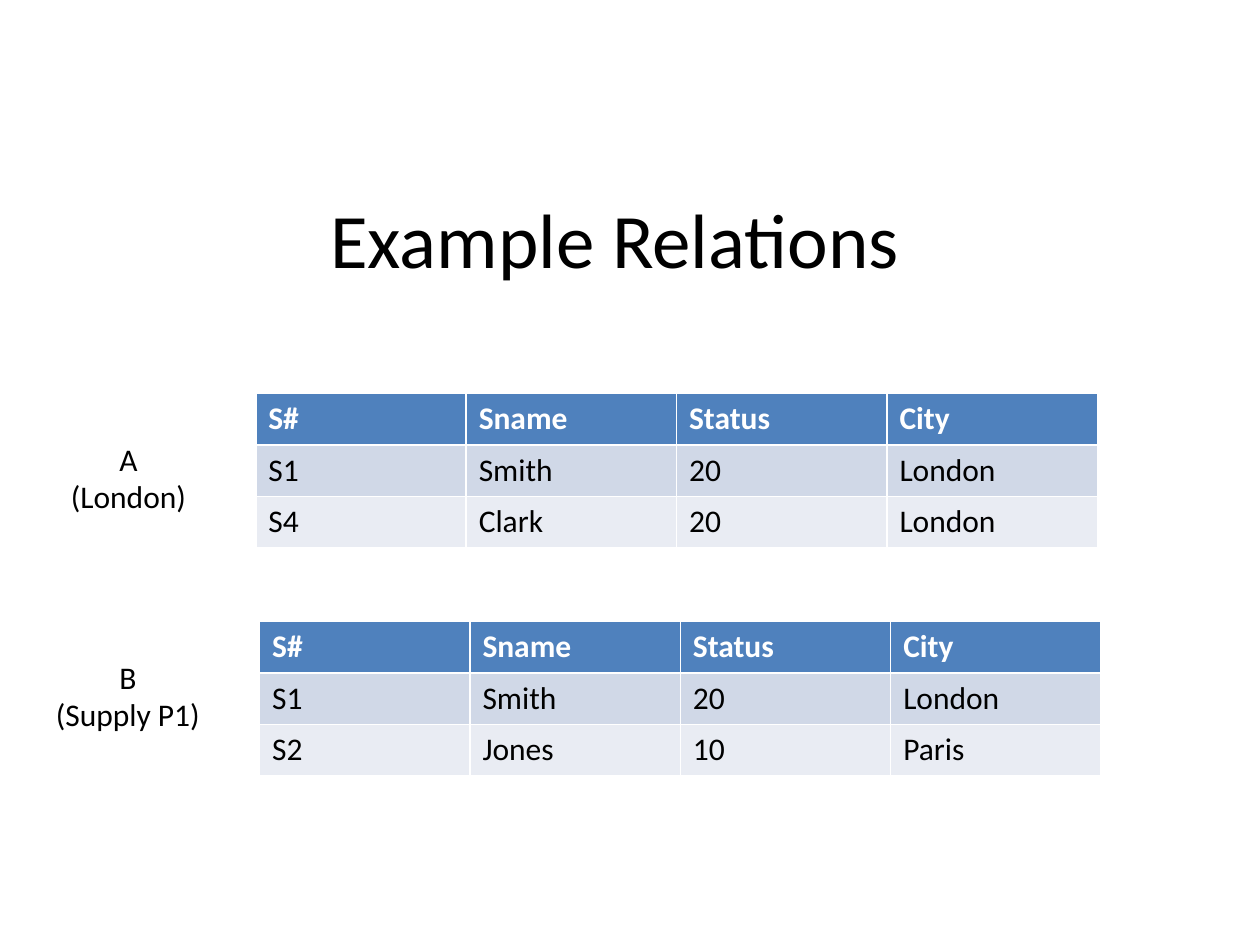
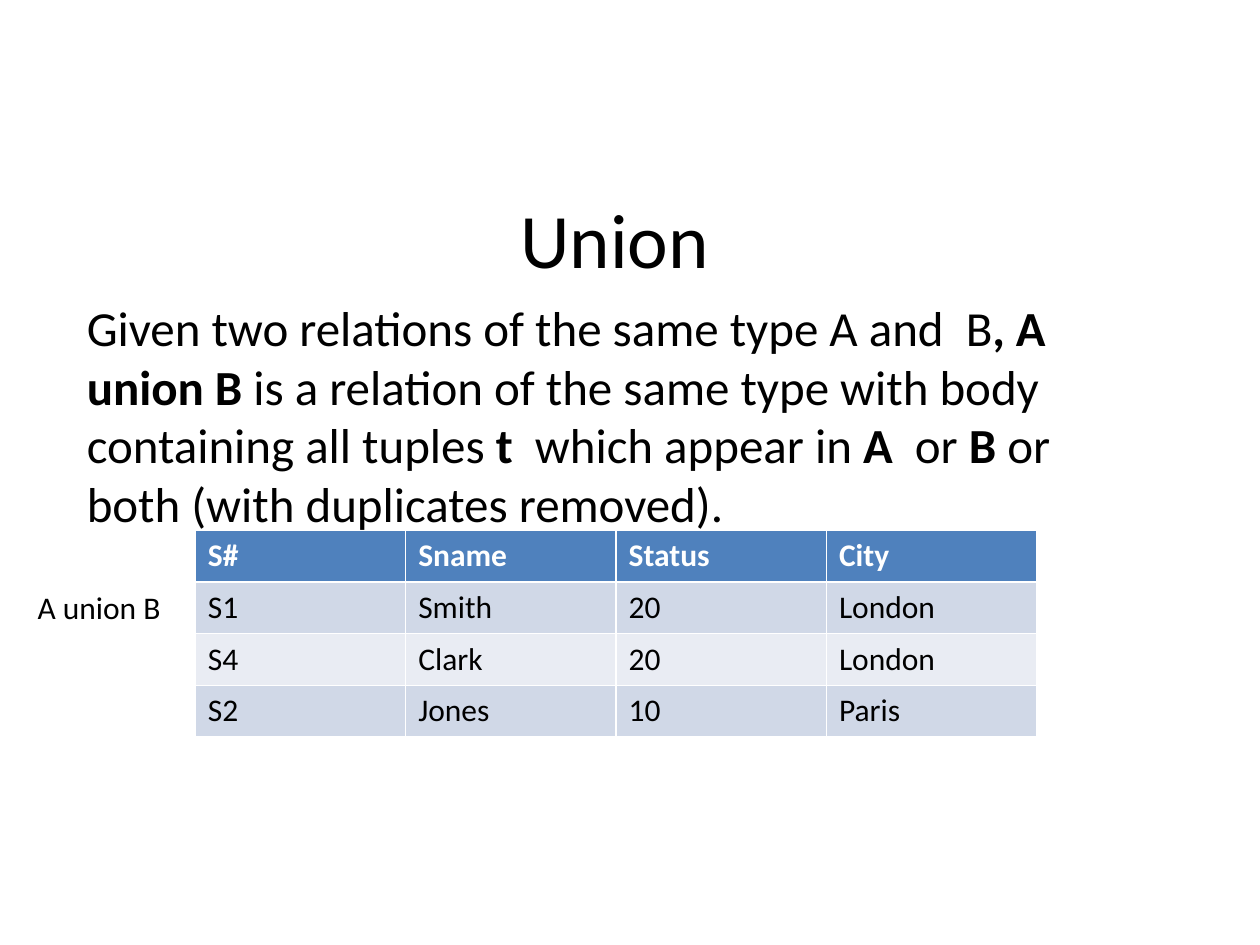
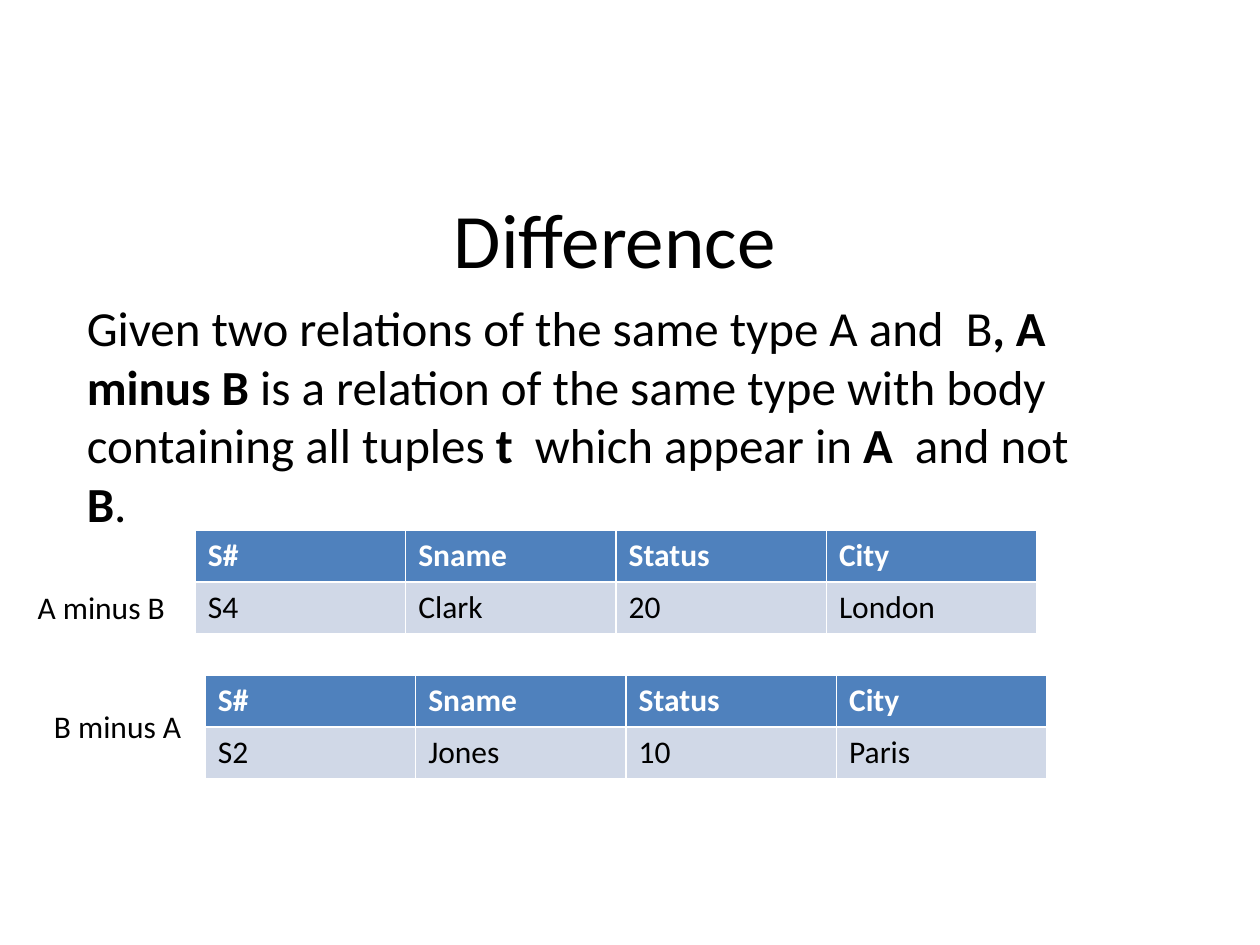
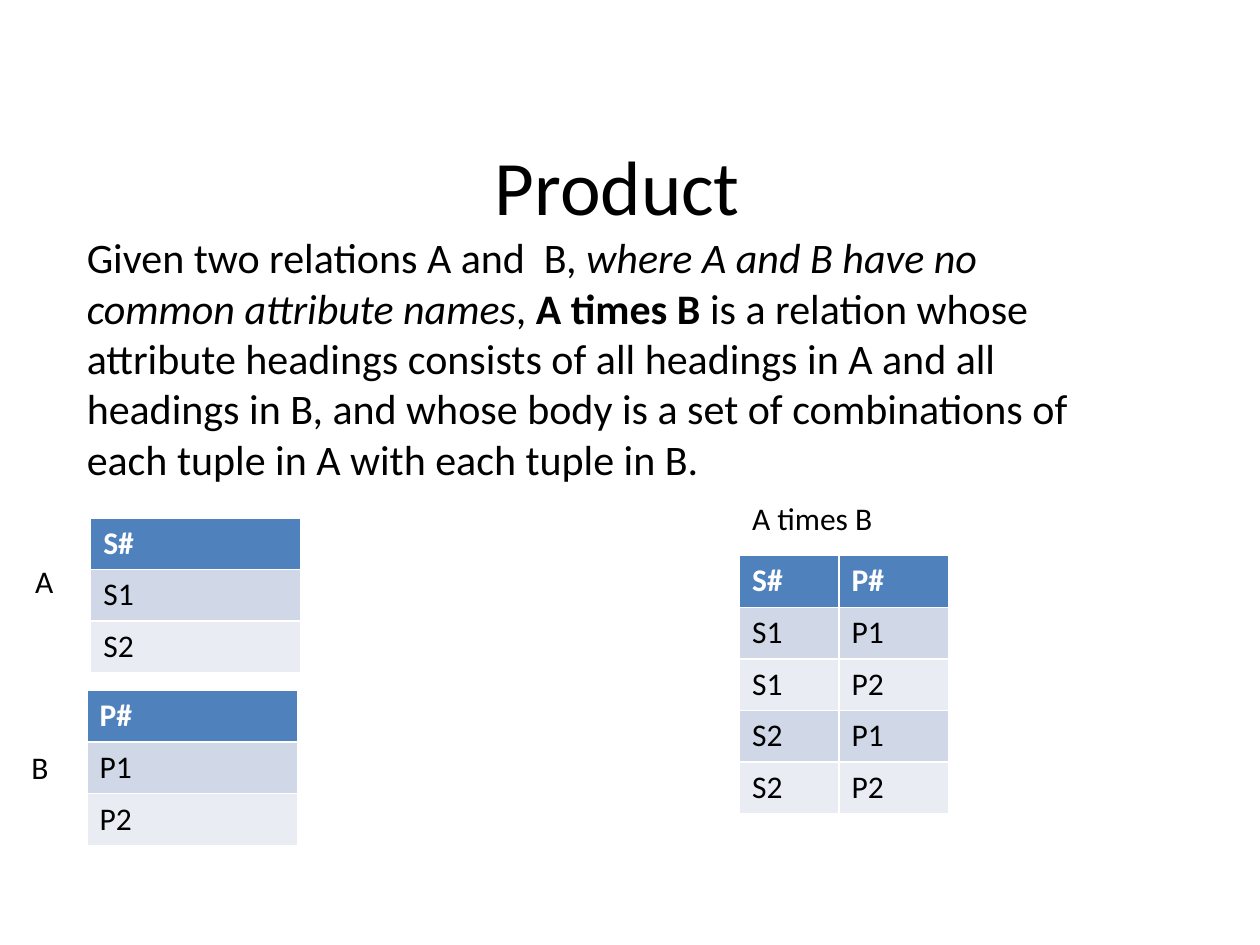
from pptx import Presentation
from pptx import util as u
from pptx.dml.color import RGBColor
from pptx.enum import text

COLORS = {
    "ink": "000000",
    "header_ink": "FFFFFF",
    "header": "4F81BD",
    "odd_row": "D0D8E7",
    "even_row": "E9ECF3",
}
FONT = "Calibri"
ROW_HEIGHT = 0.41
COLUMN_WIDTH = 1.67
SUPPLIER_HEADINGS = ["S#", "Sname", "Status", "City"]
SMITH = ["S1", "Smith", "20", "London"]
CLARK = ["S4", "Clark", "20", "London"]
JONES = ["S2", "Jones", "10", "Paris"]


def color(name):
    return RGBColor.from_string(COLORS[name])


def add_span(para, words, size=18, ink="ink", bold=False, italic=False):
    span = para.add_run()
    span.text = words
    font = span.font
    font.name, font.size = FONT, u.Pt(size)
    font.bold, font.italic = bold, italic
    font.color.rgb = color(ink)


def write(frame, paragraphs, size=18, align=text.PP_ALIGN.LEFT):
    """Fill a frame; each paragraph is a list of (words, style) pairs."""
    frame.word_wrap = True
    frame.vertical_anchor = text.MSO_ANCHOR.TOP
    frame.auto_size = text.MSO_AUTO_SIZE.SHAPE_TO_FIT_TEXT
    for index, spans in enumerate(paragraphs):
        para = frame.add_paragraph() if index else frame.paragraphs[0]
        para.alignment = align
        for words, style in spans:
            add_span(para, words, size=size,
                     bold=style == "bold", italic=style == "italic")


def add_page(deck, title, left=1.06, top=1.47):
    page = deck.slides.add_slide(deck.slide_layouts[5])
    box = page.shapes.title
    box.left, box.top = u.Inches(left), u.Inches(top)
    box.width, box.height = u.Inches(7.64), u.Inches(0.83)
    write(box.text_frame, [[(title, "plain")]], size=44,
          align=text.PP_ALIGN.CENTER)
    return page


def add_text(page, paragraphs, left, top, width, height, **style):
    box = page.shapes.add_textbox(u.Inches(left), u.Inches(top),
                                  u.Inches(width), u.Inches(height))
    write(box.text_frame, paragraphs, **style)


def add_label(page, lines, left, top, width=1.34, **style):
    add_text(page, [[(line, "plain")] for line in lines], left, top, width,
             0.1 + 0.3 * len(lines), **style)


def add_definition(page, spans, top=2.31, height=1.97, size=28):
    add_text(page, [spans], 0.59, top, 8.19, height, size=size)


def add_relation(page, headings, tuples, left, top, widths=None):
    widths = widths or [COLUMN_WIDTH] * len(headings)
    rows = [headings] + tuples
    table = page.shapes.add_table(
        len(rows), len(headings), u.Inches(left), u.Inches(top),
        u.Inches(sum(widths)), u.Inches(ROW_HEIGHT * len(rows))).table
    for column, width in zip(table.columns, widths):
        column.width = u.Inches(width)
    # The table style draws the white rules; each cell gets its own fill
    for r, values in enumerate(rows):
        fill = "header" if r == 0 else "odd_row" if r % 2 else "even_row"
        for c, value in enumerate(values):
            cell = table.cell(r, c)
            cell.fill.solid()
            cell.fill.fore_color.rgb = color(fill)
            add_span(cell.text_frame.paragraphs[0], value, bold=r == 0,
                     ink="ink" if r else "header_ink")


def set_definition(operator, ending):
    """Shared wording of the definitions of union and difference."""
    return [
        ("Given two relations of the same type A and  B", "plain"),
        (f", A {operator} B", "bold"),
        (" is a relation of the same type with body containing all tuples ",
         "plain"),
        ("t", "bold"), ("  which appear in ", "plain"), ("A", "bold"),
    ] + ending


def build_examples(deck):
    page = add_page(deck, "Example Relations")
    add_relation(page, SUPPLIER_HEADINGS, [SMITH, CLARK], 2.03, 3.12)
    add_relation(page, SUPPLIER_HEADINGS, [SMITH, JONES], 2.06, 4.93)
    center = text.PP_ALIGN.CENTER
    add_label(page, ["A", "(London)"], 0.35, 3.44, align=center)
    add_label(page, ["B", "(Supply P1)"], 0.15, 5.17, width=1.73, align=center)


def build_union(deck):
    page = add_page(deck, "Union")
    add_relation(page, SUPPLIER_HEADINGS, [SMITH, CLARK, JONES], 1.55, 4.21)
    add_label(page, ["A union B"], 0.2, 4.62)
    add_definition(page, set_definition("union", [
        ("  or ", "plain"), ("B ", "bold"),
        ("or both (with duplicates removed).", "plain")]))


def build_difference(deck):
    page = add_page(deck, "Difference")
    add_relation(page, SUPPLIER_HEADINGS, [CLARK], 1.55, 4.21)
    add_label(page, ["A minus B"], 0.2, 4.62)
    add_definition(page, set_definition("minus", [
        ("  and not ", "plain"), ("B", "bold"), (".", "plain")]))
    add_label(page, ["B minus A"], 0.33, 5.56)
    add_relation(page, SUPPLIER_HEADINGS, [JONES], 1.63, 5.36)


def build_product(deck):
    page = add_page(deck, "Product", left=1.08, top=1.05)
    suppliers, parts = ["S1", "S2"], ["P1", "P2"]
    add_definition(page, [
        ("Given two relations A and  B, ", "plain"),
        ("where A and B have no common attribute names", "italic"),
        (",", "plain"), (" A times B ", "bold"),
        ("is a relation whose attribute headings consists of all headings "
         "in A and all headings in B, and whose body is a set of combinations "
         "of each tuple in A with each tuple in B.", "plain"),
    ], top=1.79, height=2.1, size=24)
    # Operands
    add_relation(page, ["S#"], [[s] for s in suppliers], 0.72, 4.11)
    add_label(page, ["A"], 0.18, 4.41)
    add_relation(page, ["P#"], [[p] for p in parts], 0.69, 5.48)
    add_label(page, ["B"], 0.15, 5.89)
    # Every supplier paired with every part
    add_relation(page, ["S#", "P#"],
                 [[s, p] for s in suppliers for p in parts],
                 5.87, 4.41, widths=[0.79, 0.87])
    add_label(page, ["A times B"], 5.87, 3.91, width=2.05)


def main():
    deck = Presentation()
    deck.slide_width, deck.slide_height = u.Inches(10), u.Inches(7.5)
    build_examples(deck)
    build_union(deck)
    build_difference(deck)
    build_product(deck)
    deck.save("out.pptx")


if __name__ == "__main__":
    main()
